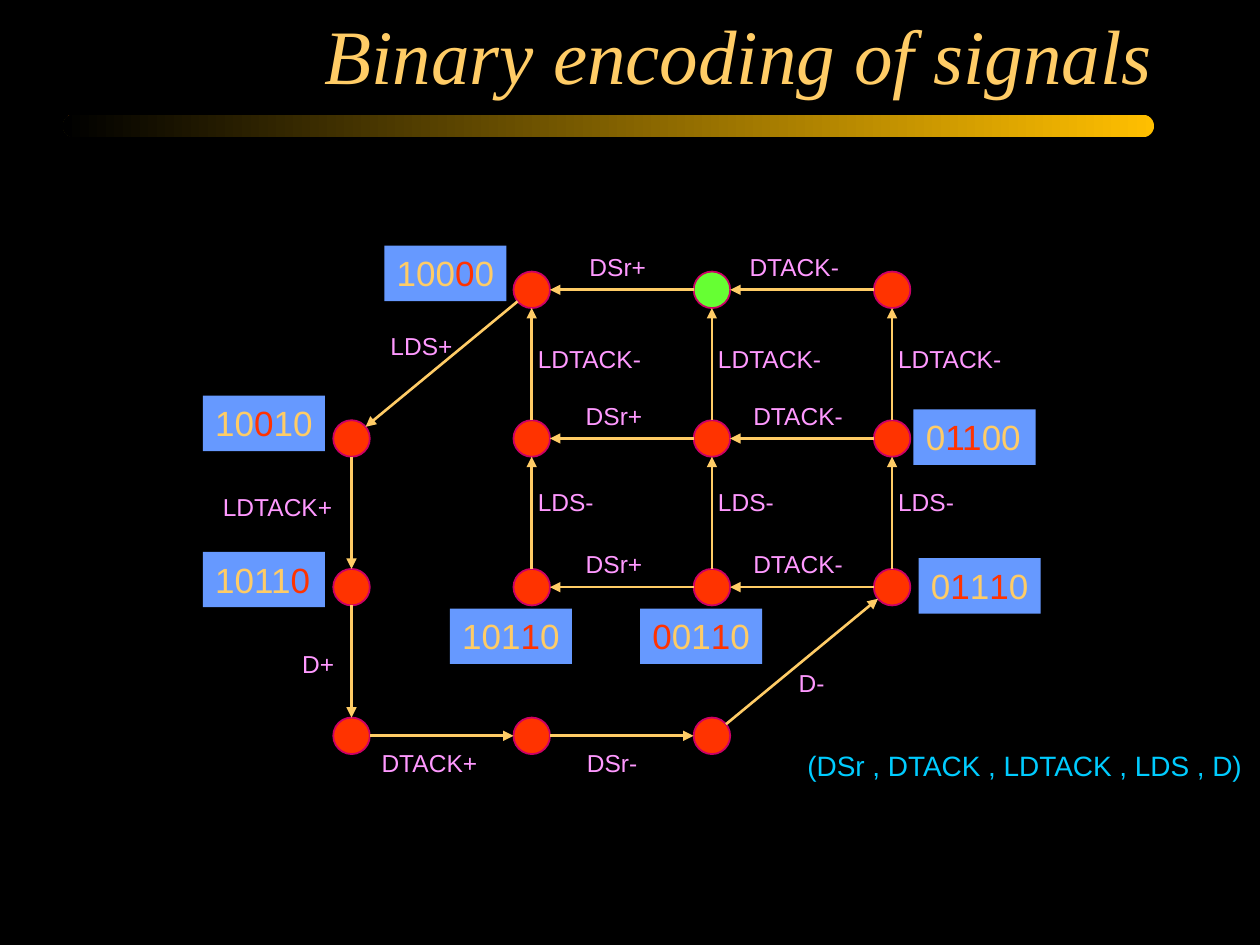
import math
from pptx import Presentation
from pptx import util as u
from pptx.dml.color import RGBColor
from pptx.enum import shapes, text
from pptx.oxml.ns import qn
from lxml import etree

COLORS = {
    "back": "000000", "gold": "FFCC66", "bar": "FFBF00", "red": "FF3300",
    "green": "66FF33", "rim": "CC0066", "label": "FF99FF", "box": "6699FF",
    "legend": "00CCFF",
}
LEFT, TOP, COL, ROW = 2.79, 2.3, 1.43, 1.18
DIAMETER = 0.29
START = (2, 0)
NODES = [(c, r) for r in range(4) for c in range(4)
         if (c, r) not in ((0, 0), (3, 3))]
ARROWS = [((c, r), (c - 1, r)) for r in range(3) for c in (3, 2)]
ARROWS += [((c, r), (c, r - 1)) for r in (2, 1) for c in (1, 2, 3)]
ARROWS += [((1, 0), (0, 1)), ((0, 1), (0, 2)), ((0, 2), (0, 3)),
           ((0, 3), (1, 3)), ((1, 3), (2, 3)), ((2, 3), (3, 2))]
LABEL_WIDTHS = {
    "DSr+": 0.65, "DTACK-": 0.92, "LDS-": 0.64, "LDTACK-": 1.03, "D-": 0.4,
    "DSr-": 0.6, "DTACK+": 0.97, "D+": 0.45, "LDTACK+": 1.08, "LDS+": 0.69,
}
LABELS = [("DSr+", 4.58, 1.95), ("DTACK-", 5.85, 1.95)]
LABELS += [(name, x, y) for y in (3.13, 4.31)
           for name, x in (("DSr+", 4.55), ("DTACK-", 5.88))]
LABELS += [(name, 4.17 + COL * i, y) for i in range(3)
           for name, y in (("LDTACK-", 2.68), ("LDS-", 3.82))]
LABELS += [("D-", 6.24, 5.25), ("DSr-", 4.56, 5.89), ("DTACK+", 2.93, 5.89),
           ("D+", 2.3, 5.1), ("LDTACK+", 1.67, 3.86), ("LDS+", 3, 2.58)]
CODES = [
    ("100*0*0", 3.05, 1.95), ("10*0*10", 1.61, 3.14), ("1011*0*", 1.61, 4.38),
    ("0*1*1*1*0", 7.29, 4.43), ("0*11*00", 7.25, 3.25),
    ("*0*01*1*0", 5.08, 4.83), ("101*1*0", 3.57, 4.83),
]


def rgb(name):
    return RGBColor.from_string(COLORS[name])


def center(node):
    return LEFT + COL * node[0], TOP + ROW * node[1]


class Deck:
    def __init__(self):
        self.prs = Presentation()
        self.prs.slide_width, self.prs.slide_height = u.Inches(10), u.Inches(7.5)
        self.s = self.prs.slides.add_slide(self.prs.slide_layouts[5])
        fill = self.s.background.fill
        fill.solid()
        fill.fore_color.rgb = rgb("back")

    def run(self, p, words, size, color, font="Arial"):
        r = p.add_run()
        r.text = words
        r.font.size, r.font.name = u.Pt(size), font
        r.font.color.rgb = rgb(color)
        return r

    def title(self, words, x, y, w, h):
        sp = self.s.shapes.title
        sp.left, sp.top, sp.width, sp.height = map(u.Inches, (x, y, w, h))
        tf = sp.text_frame
        tf.vertical_anchor = text.MSO_ANCHOR.BOTTOM
        tf.auto_size = text.MSO_AUTO_SIZE.NONE
        p = tf.paragraphs[0]
        p.alignment = text.PP_ALIGN.RIGHT
        self.run(p, words, 44, "gold", "Times New Roman").font.italic = True

    def shape(self, kind, x, y, w, h):
        sp = self.s.shapes.add_shape(kind, *map(u.Inches, (x, y, w, h)))
        sp.shadow.inherit = False
        sp.line.fill.background()
        return sp

    def bar(self, x, y, w, h):
        sp = self.shape(shapes.MSO_SHAPE.ROUNDED_RECTANGLE, x, y, w, h)
        sp.adjustments[0] = 0.5
        sp.fill.gradient()
        sp.fill.gradient_angle = 180
        for stop, color in zip(sp.fill.gradient_stops, ("bar", "back")):
            stop.color.rgb = rgb(color)

    def node(self, node):
        x, y = center(node)
        sp = self.shape(shapes.MSO_SHAPE.OVAL, x - DIAMETER / 2,
                        y - DIAMETER / 2, DIAMETER, DIAMETER)
        sp.fill.solid()
        sp.fill.fore_color.rgb = rgb("green" if node == START else "red")
        sp.line.color.rgb = rgb("rim")
        sp.line.width = u.Pt(1)

    def arrow(self, begin, end):
        (x1, y1), (x2, y2) = center(begin), center(end)
        part = DIAMETER / 2 / math.hypot(x2 - x1, y2 - y1)
        dx, dy = (x2 - x1) * part, (y2 - y1) * part
        ends = (x1 + dx, y1 + dy, x2 - dx, y2 - dy)
        line = self.s.shapes.add_connector(
            shapes.MSO_CONNECTOR.STRAIGHT, *map(u.Inches, ends))
        line.line.color.rgb = rgb("gold")
        line.line.width = u.Pt(1.5)
        props = line._element.spPr
        etree.SubElement(props.find(qn("a:ln")), qn("a:tailEnd"),
                         type="triangle")
        etree.SubElement(props, qn("a:effectLst"))

    def fit(self, sp):
        tf = sp.text_frame
        tf.word_wrap = False
        tf.auto_size = text.MSO_AUTO_SIZE.NONE
        tf.vertical_anchor = text.MSO_ANCHOR.TOP
        tf.margin_right = 0
        p = tf.paragraphs[0]
        p.alignment = text.PP_ALIGN.LEFT
        return p

    def label(self, words, x, y, w, h=0.34, size=14, color="label"):
        sp = self.s.shapes.add_textbox(*map(u.Inches, (x, y, w, h)))
        self.run(self.fit(sp), words, size, color)

    def code(self, bits, x, y):
        sp = self.shape(shapes.MSO_SHAPE.RECTANGLE, x, y, 0.97, 0.44)
        sp.fill.solid()
        sp.fill.fore_color.rgb = rgb("box")
        p = self.fit(sp)
        for i, part in enumerate(bits.split("*")):
            if part:
                self.run(p, part, 20, "red" if i % 2 else "gold")


def main():
    deck = Deck()
    deck.bar(0.5, 0.91, 8.66, 0.18)
    deck.title("Binary encoding of signals", 0.75, 0.09, 8.5, 0.75)
    for node in NODES:
        deck.node(node)
    for begin, end in ARROWS:
        deck.arrow(begin, end)
    for name, x, y in LABELS:
        deck.label(name, x, y, LABEL_WIDTHS[name])
    for bits, x, y in CODES:
        deck.code(bits, x, y)
    deck.label("(DSr , DTACK , LDTACK , LDS , D)", 6.31, 5.89, 3.68, 0.37,
               16, "legend")
    deck.prs.save("out.pptx")


if __name__ == "__main__":
    main()
